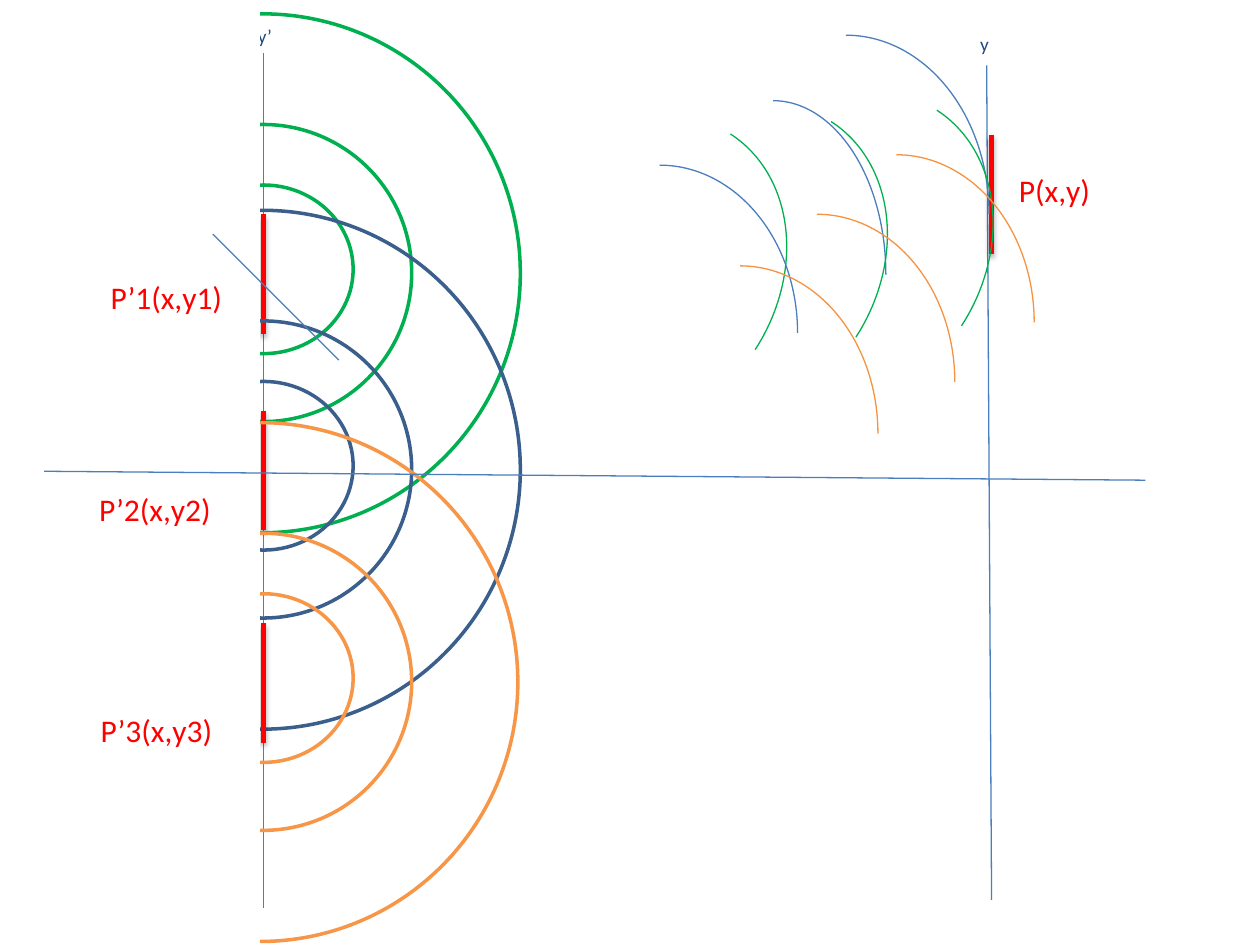
from lxml import etree
from pptx import Presentation
from pptx import util as u
from pptx.dml.color import RGBColor
from pptx.enum import shapes, text
from pptx.oxml import parse_xml

Cm, Pt = u.Cm, u.Pt
rgb = RGBColor.from_string
NS = "http://schemas.openxmlformats.org/drawingml/2006/main"
SHADOW = (
    f'<a:effectLst xmlns:a="{NS}">'
    '<a:outerShdw blurRad="40000" dist="23000" dir="5400000" rotWithShape="0">'
    '<a:srgbClr val="000000"><a:alpha val="35000"/></a:srgbClr>'
    '</a:outerShdw></a:effectLst>'
)


def add_line(x1, y1, x2, y2, color="4B7EBC", width=0.75, shadow=False):
    sp = s.shapes.add_connector(shapes.MSO_CONNECTOR.STRAIGHT, Cm(x1), Cm(y1), Cm(x2), Cm(y2))
    sp.line.color.rgb = rgb(color)
    sp.line.width = Pt(width)
    spPr = sp._element.spPr
    if shadow:
        spPr.append(parse_xml(SHADOW))
    else:
        etree.SubElement(spPr, f"{{{NS}}}effectLst")


def add_text(content, x, y, w=1.37, h=0.74, size=11, color="1F497D"):
    sp = s.shapes.add_textbox(Cm(x), Cm(y), Cm(w), Cm(h))
    tf = sp.text_frame
    tf.word_wrap = True
    tf.auto_size = text.MSO_AUTO_SIZE.SHAPE_TO_FIT_TEXT
    r = tf.paragraphs[0].add_run()
    r.text = content
    r.font.name = "Calibri"
    r.font.size = Pt(size)
    r.font.color.rgb = rgb(color)


prs = Presentation()
prs.slide_width, prs.slide_height = Cm(25.4), Cm(19.05)
s = prs.slides.add_slide(prs.slide_layouts[6])

red = dict(color="FF0000", width=3, shadow=True)
add_line(5.31, 1.07, 5.31, 18.31)
add_text("y’", 4.95, 0.36)

sources = [(0, "00B050", 0.1), (3.96, "3A5F8C", 0.1), (8.24, "F79646", 0.05)]
for dy, color, outer_x in sources:
    add_line(5.31, 4.32 + dy, 5.31, 6.73 + dy, **red)
    waves = [(3.51, 3.73, 3.61, 3.4), (2.31, 2.51, 5.99, 5.99), (outer_x, 0.28, 10.39, 10.46)]
    for left, top, w, h in waves:
        sp = s.shapes.add_shape(shapes.MSO_SHAPE.OVAL, Cm(left), Cm(top + dy), Cm(w), Cm(h))
        sp.shadow.inherit = False
        sp.fill.background()
        sp.line.color.rgb = rgb(color)
        sp.line.width = Pt(2)

sp = s.shapes.add_shape(shapes.MSO_SHAPE.RECTANGLE, 0, 0, Cm(5.21), prs.slide_height)
sp.shadow.inherit = False
sp.fill.solid()
sp.fill.fore_color.rgb = rgb("FFFFFF")
sp.line.color.rgb = rgb("FFFFFF")
sp.line.width = Pt(2)

add_line(0.89, 9.5, 23.09, 9.68)
add_line(19.89, 1.32, 19.99, 18.14)
add_text("y", 19.51, 0.53)
add_line(4.29, 4.72, 6.83, 7.26)
add_line(19.99, 2.72, 19.99, 5.13, **red)

arcs = [
    ("4B7EBC", 0, [(14.17, 0.71, 5.77, 7.21), (13.31, 2.03, 4.55, 7.01), (10.52, 3.33, 5.56, 6.76)]),
    ("00B050", 32.9, [(x, y, 5.56, 6.76) for x, y in [(14.27, 1.68), (12.14, 1.91), (10.11, 2.16)]]),
    ("F69240", 0, [(x, y, 5.56, 6.76) for x, y in [(15.29, 3.12), (13.69, 4.32), (12.14, 5.36)]]),
]
for color, angle, boxes in arcs:
    for box in boxes:
        sp = s.shapes.add_shape(shapes.MSO_SHAPE.ARC, *map(Cm, box))
        sp.shadow.inherit = False
        sp.rotation = angle
        sp.fill.background()
        sp.line.color.rgb = rgb(color)
        sp.line.width = Pt(0.75)

points = [
    ("P(x,y)", 20.29, 3.33),
    ("P’1(x,y1)", 1.98, 5.49),
    ("P’2(x,y2)", 1.75, 9.75),
    ("P’3(x,y3)", 1.78, 14.2),
]
for label, x, y in points:
    add_text(label, x, y, w=3.2, h=1.02, size=18, color="FF0000")

prs.save("out.pptx")
